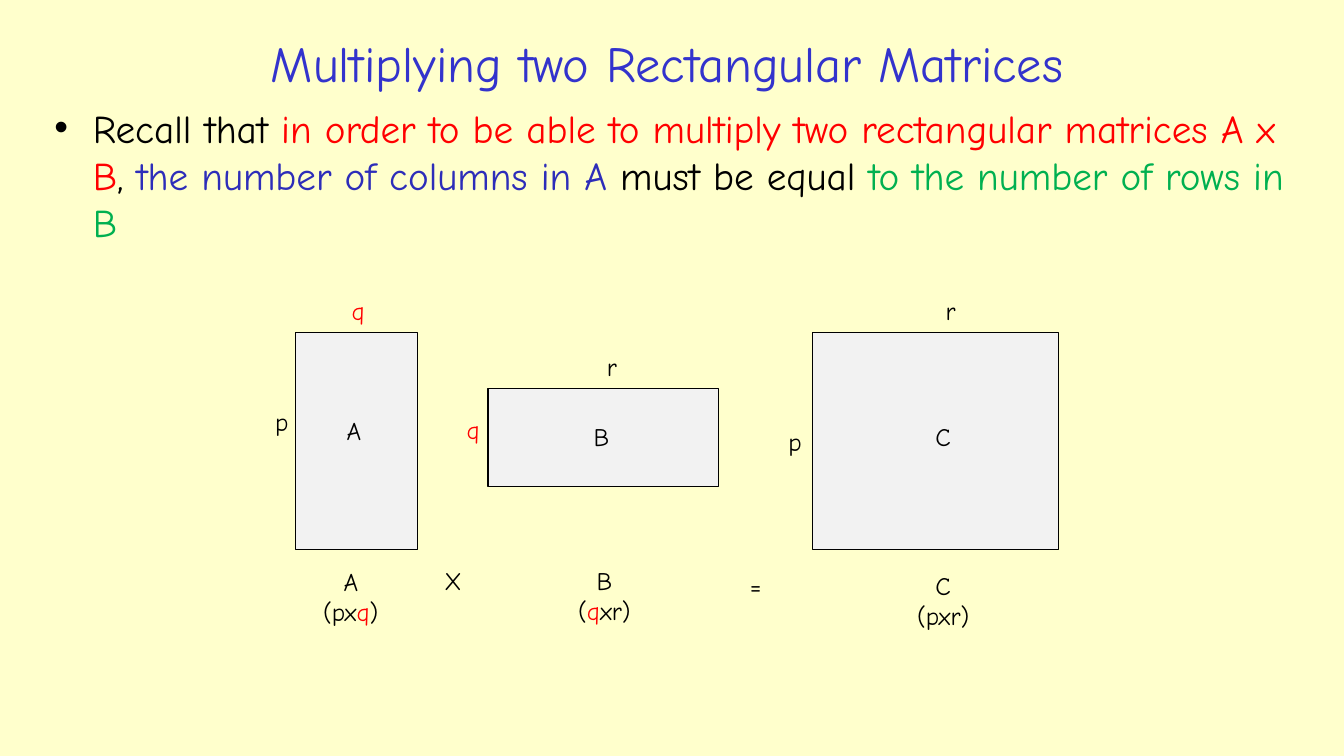
import pptx
import pptx.dml.color
import pptx.enum.shapes
import pptx.enum.text
import pptx.oxml
import pptx.oxml.ns
import pptx.util
from pptx.util import Inches

FONT = "Comic Neue"
BLACK, RED, GREEN = "000000", "FF0000", "00B050"
TITLE_BLUE, TEXT_BLUE = "3333CC", "2D2DB9"
PAPER, MATRIX_FILL = "FFFFCC", "F2F2F2"
ALIGN = pptx.enum.text.PP_ALIGN
ANCHOR = pptx.enum.text.MSO_ANCHOR
AUTO_SIZE = pptx.enum.text.MSO_AUTO_SIZE


def color(hex_text):
    return pptx.dml.color.RGBColor.from_string(hex_text)


def write(frame, paragraphs, size=18, align=ALIGN.LEFT, anchor=ANCHOR.TOP,
          wrap=True, auto_size=AUTO_SIZE.NONE):
    """Fill a text frame; each paragraph is a list of (text, colour) spans."""
    frame.word_wrap = wrap
    frame.auto_size = auto_size
    frame.vertical_anchor = anchor
    for index, spans in enumerate(paragraphs):
        para = frame.add_paragraph() if index else frame.paragraphs[0]
        para.alignment = align
        for text, hex_text in spans:
            span = para.add_run()
            span.text = text
            span.font.name = FONT
            span.font.size = pptx.util.Pt(size)
            span.font.color.rgb = color(hex_text)


def place(shape, left, top, width, height):
    shape.left, shape.top = Inches(left), Inches(top)
    shape.width, shape.height = Inches(width), Inches(height)


def add_bullet(para, indent):
    properties = para._p.get_or_add_pPr()
    properties.set("marL", str(Inches(indent)))
    properties.set("indent", str(-Inches(indent)))
    namespace = pptx.oxml.ns.nsdecls("a")
    for xml in (
        f'<a:spcBef {namespace}><a:spcPct val="20000"/></a:spcBef>',
        f'<a:buFont {namespace} typeface="Arial"/>',
        f'<a:buChar {namespace} char="•"/>',
    ):
        properties.append(pptx.oxml.parse_xml(xml))


def add_matrix(page, left, top, width, height):
    box = page.shapes.add_shape(
        pptx.enum.shapes.MSO_SHAPE.RECTANGLE,
        Inches(left), Inches(top), Inches(width), Inches(height))
    box.shadow.inherit = False
    box.fill.solid()
    box.fill.fore_color.rgb = color(MATRIX_FILL)
    box.line.color.rgb = color(BLACK)
    box.line.width = pptx.util.Pt(0.75)


def add_label(page, left, top, width, paragraphs, align=ALIGN.LEFT):
    height = 0.4 if len(paragraphs) == 1 else 0.71
    box = page.shapes.add_textbox(
        Inches(left), Inches(top), Inches(width), Inches(height))
    write(box.text_frame, paragraphs, align=align, wrap=False,
          auto_size=AUTO_SIZE.SHAPE_TO_FIT_TEXT)


def main():
    deck = pptx.Presentation()
    deck.slide_width, deck.slide_height = Inches(13.33), Inches(7.5)
    page = deck.slides.add_slide(deck.slide_layouts[1])
    page.background.fill.solid()
    page.background.fill.fore_color.rgb = color(PAPER)

    title, body = page.placeholders
    place(title, 0.24, 0.26, 12.75, 0.72)
    write(title.text_frame,
          [[("Multiplying two Rectangular Matrices", TITLE_BLUE)]],
          size=36, align=ALIGN.CENTER, anchor=ANCHOR.MIDDLE)
    place(body, 0.44, 0.98, 12.54, 1.18)
    write(body.text_frame, [[
        ("Recall that ", BLACK),
        ("in order to be able to multiply two rectangular matrices A x B", RED),
        (", ", BLACK),
        ("the number of columns in A ", TEXT_BLUE),
        ("must be equal ", BLACK),
        ("to the number of rows in B", GREEN),
    ]], size=28)
    add_bullet(body.text_frame.paragraphs[0], 0.38)

    for bounds in ((2.93, 3.3, 1.21, 2.15),
                   (4.84, 3.85, 2.29, 0.98),
                   (8.06, 3.3, 2.44, 2.15)):
        add_matrix(page, *bounds)

    for text, left, top, width, hex_text in (
        ("A", 3.34, 4.07, 0.39, BLACK),
        ("p", 2.63, 3.98, 0.34, BLACK),
        ("q", 3.39, 2.88, 0.34, RED),
        ("B", 5.79, 4.13, 0.36, BLACK),
        ("q", 4.53, 4.06, 0.34, RED),
        ("r", 5.92, 3.44, 0.32, BLACK),
        ("C", 9.18, 4.13, 0.36, BLACK),
        ("p", 7.72, 4.18, 0.34, BLACK),
        ("r", 9.28, 2.88, 0.32, BLACK),
        ("X", 4.31, 5.56, 0.38, BLACK),
        ("=", 7.34, 5.61, 0.33, BLACK),
    ):
        add_label(page, left, top, width, [[(text, hex_text)]])

    for name, left, top, width, dimensions in (
        ("A", 3.08, 5.57, 0.8, [("(px", BLACK), ("q", RED), (")", BLACK)]),
        ("B", 5.6, 5.56, 0.79, [("(", BLACK), ("q", RED), ("xr)", BLACK)]),
        ("C", 8.96, 5.61, 0.79, [("(pxr)", BLACK)]),
    ):
        add_label(page, left, top, width, [[(name, BLACK)], dimensions],
                  align=ALIGN.CENTER)

    deck.save("out.pptx")


if __name__ == "__main__":
    main()
